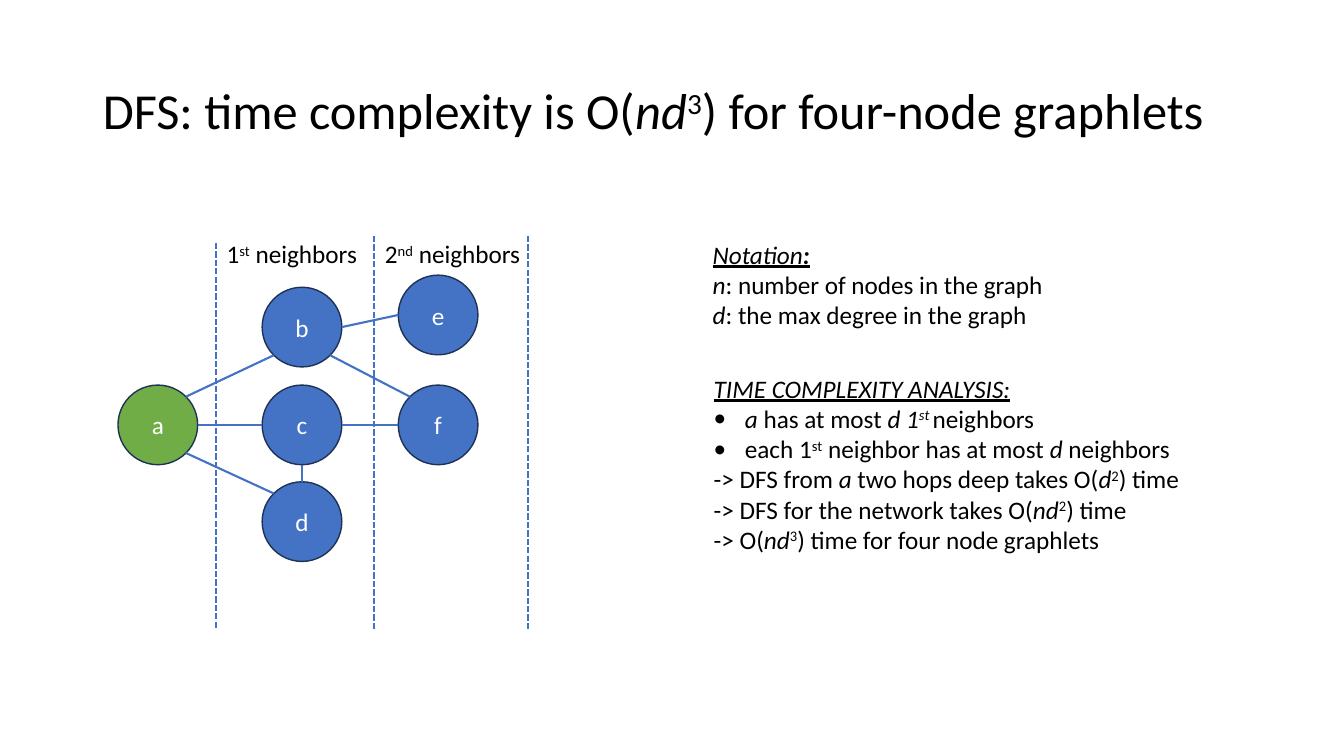
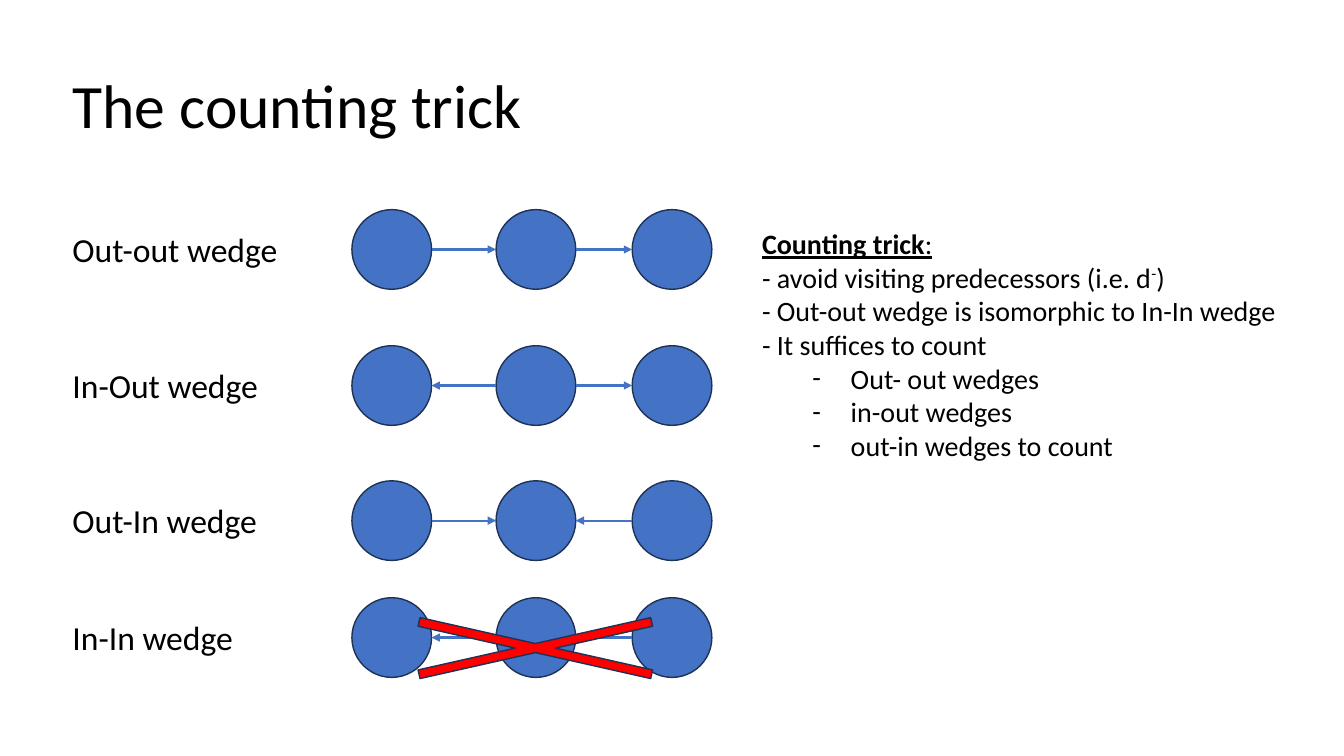
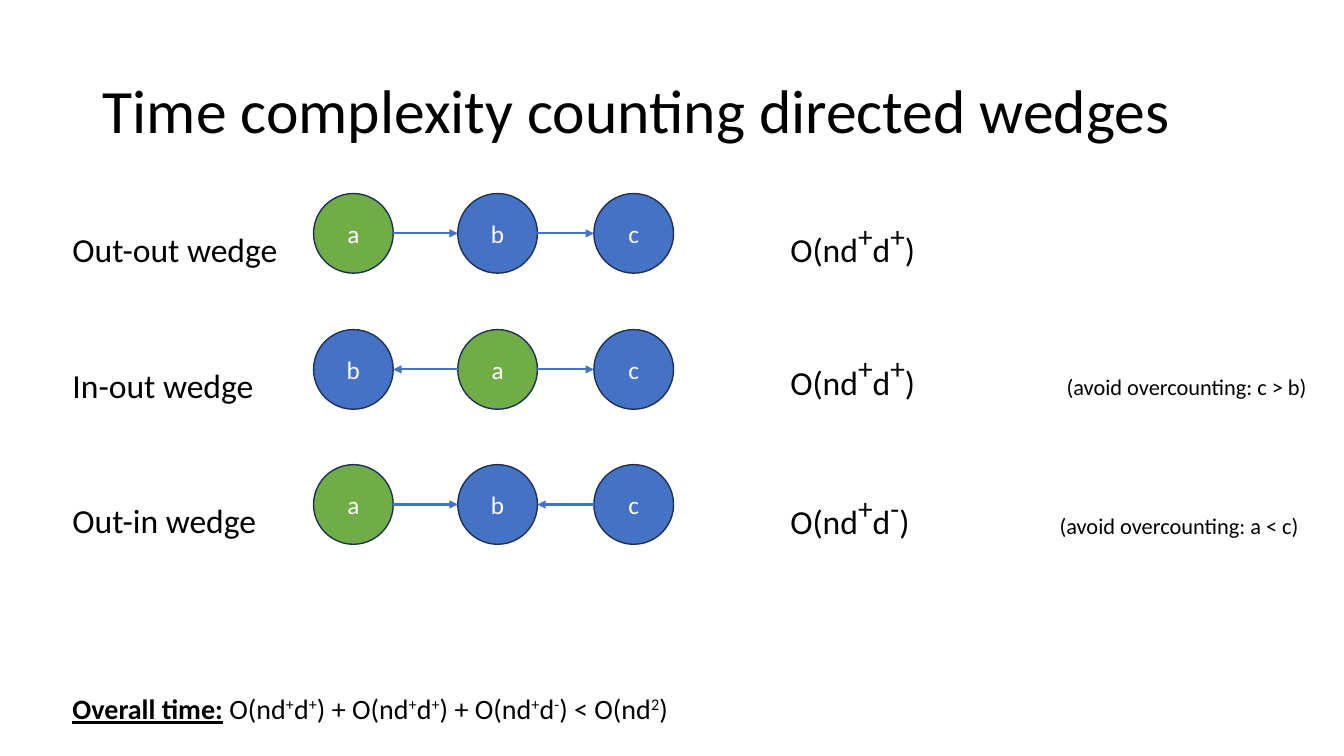
from math import cos, radians, sin

from lxml import etree
from pptx import Presentation
from pptx.dml.color import RGBColor
from pptx.enum.dml import MSO_LINE
from pptx.enum.shapes import MSO_CONNECTOR, MSO_SHAPE
from pptx.enum.text import MSO_ANCHOR, MSO_AUTO_SIZE, PP_ALIGN
from pptx.oxml.ns import qn
from pptx.util import Inches, Pt

DASH = MSO_LINE.SQUARE_DOT
STRAIGHT = MSO_CONNECTOR.STRAIGHT
OVAL, CROSS = MSO_SHAPE.OVAL, MSO_SHAPE.MATH_MULTIPLY
MIDDLE = MSO_ANCHOR.MIDDLE
GROW = MSO_AUTO_SIZE.SHAPE_TO_FIT_TEXT
LEFT, CENTER = PP_ALIGN.LEFT, PP_ALIGN.CENTER

# Shared look
BLACK = RGBColor(0x00, 0x00, 0x00)
WHITE = RGBColor(0xFF, 0xFF, 0xFF)
BLUE = RGBColor(0x44, 0x72, 0xC4)
GREEN = RGBColor(0x70, 0xAD, 0x47)
NAVY = RGBColor(0x1E, 0x32, 0x56)
RED = RGBColor(0xFF, 0x00, 0x00)
FONT = "Calibri"
NODE = 0.79
MARGIN = 0.62
LABELS = [2.22, 3.57, 4.91, 6.07]
STEPS = [0, 1.43, 2.78]

# Run marks: i italic, b bold, u underline, + big, - small, ^ superscript
MARKS = {
    "i": {"italic": True},
    "b": {"bold": True},
    "u": {"underline": True},
    "+": {"size": Pt(36)},
    "-": {"size": Pt(16)},
}


def fill_para(para, runs, size, color=BLACK):
    """Write runs, each a plain string or a (text, marks) pair."""
    for item in runs:
        text, marks = (item, "") if isinstance(item, str) else item
        run = para.add_run()
        run.text = text
        values = {"name": FONT, "size": Pt(size)}
        for mark in marks:
            values.update(MARKS.get(mark, {}))
        for name, value in values.items():
            setattr(run.font, name, value)
        run.font.color.rgb = color
        if "^" in marks:
            run._r.get_or_add_rPr().set("baseline", "30000")


def add_title(deck, runs, left=0.92, top=0.4, size=44):
    slide = deck.slides.add_slide(deck.slide_layouts[5])
    title = slide.shapes.title
    place = {"left": left, "top": top, "width": 11.5, "height": 1.45}
    for name, value in place.items():
        setattr(title, name, Inches(value))
    frame = title.text_frame
    frame.vertical_anchor = MIDDLE
    frame.word_wrap = True
    para = frame.paragraphs[0]
    para.alignment = LEFT
    para.line_spacing = 0.9
    fill_para(para, runs, size)
    return slide


def add_text(slide, box, lines, size):
    frame = slide.shapes.add_textbox(*map(Inches, box)).text_frame
    frame.word_wrap = True
    frame.auto_size = GROW
    for i, runs in enumerate(lines):
        para = frame.add_paragraph() if i else frame.paragraphs[0]
        fill_para(para, runs, size)
    return frame.paragraphs


def set_bullet(para, char, margin, hang, level=0):
    para.level = level
    props = para._p.get_or_add_pPr()
    props.set("marL", str(Inches(margin)))
    props.set("indent", str(-Inches(hang)))
    etree.SubElement(props, qn("a:buFont")).set("typeface", FONT)
    etree.SubElement(props, qn("a:buChar")).set("char", char)


def set_tab(para, pos):
    tabs = etree.SubElement(para._p.get_or_add_pPr(), qn("a:tabLst"))
    tab = etree.SubElement(tabs, qn("a:tab"))
    tab.set("pos", str(Inches(pos)))
    tab.set("algn", "l")


def add_shape(slide, kind, box, fill):
    shape = slide.shapes.add_shape(kind, *map(Inches, box))
    shape.shadow.inherit = False
    shape.fill.solid()
    shape.fill.fore_color.rgb = fill
    shape.line.color.rgb = NAVY
    shape.line.width = Pt(1)
    return shape


def add_node(slide, left, top, name=""):
    """Draw a round node; the start node a is green."""
    fill = GREEN if name == "a" else BLUE
    node = add_shape(slide, OVAL, (left, top, NODE, NODE), fill)
    if name:
        node.text_frame.vertical_anchor = MIDDLE
        para = node.text_frame.paragraphs[0]
        para.alignment = CENTER
        fill_para(para, [name], 18, WHITE)


def add_line(slide, start, end, dash=False, arrow=False):
    line = slide.shapes.add_connector(STRAIGHT, *map(Inches, start + end))
    line.line.color.rgb = BLUE
    line.line.width = Pt(1.5)
    if dash:
        line.line.dash_style = DASH
    if arrow:
        tip = etree.SubElement(line.line._get_or_add_ln(), qn("a:tailEnd"))
        tip.set("type", "triangle")
    etree.SubElement(line._element.spPr, qn("a:effectLst"))


def rim(spot, angle):
    """Point on a node's edge, with the angle clockwise from the right."""
    turn, half = radians(angle), NODE / 2
    return (spot[0] + half + half * cos(turn),
            spot[1] + half + half * sin(turn))


def add_wedge(slide, left, top, ways, names=("", "", "")):
    """Draw three nodes in a row; each way is > or <."""
    spots = [(left + step, top) for step in STEPS]
    for spot, name in zip(spots, names):
        add_node(slide, *spot, name)
    for way, one, two in zip(ways, spots, spots[1:]):
        ends = [rim(one, 0), rim(two, 180)]
        if way == "<":
            ends.reverse()
        add_line(slide, *ends, arrow=True)


def add_label(slide, top, text):
    add_text(slide, (MARGIN, top, 2.25, 0.5), [[text]], 24)


def draw_search(deck):
    slide = add_title(deck, ["DFS: time complexity is O(", ("nd", "i"), ("3", "^"),
                             ") for four-node graphlets"], size=36)
    # Graph
    spots = {"a": (1.17, 3.82), "b": (2.6, 2.85), "c": (2.6, 3.82),
             "d": (2.6, 4.78), "e": (3.95, 2.73), "f": (3.95, 3.82)}
    edges = [("a", -45, "b", 135), ("a", 0, "c", 180), ("a", 45, "d", 225),
             ("c", 90, "d", 270), ("b", 0, "e", 180), ("b", 45, "f", 225),
             ("c", 0, "f", 180)]
    for name, spot in spots.items():
        add_node(slide, *spot, name)
    for one, out, two, into in edges:
        add_line(slide, rim(spots[one], out), rim(spots[two], into))

    # Neighbor bands
    for x, top in [(2.14, 2.41), (3.71, 2.34), (5.24, 2.34)]:
        add_line(slide, (x, top), (x, 6.24), dash=True)
    for left, num, end in [(2.15, "1", "st"), (3.72, "2", "nd")]:
        add_text(slide, (left, 2.32, 1.93, 0.4),
                 [[num, (end, "^"), " neighbors"]], 18)

    # Notes
    add_text(slide, (6.97, 2.32, 3.52, 1.01), [
        [("Notation", "iu"), (":", "biu")],
        [("n", "i"), ": number of nodes in the graph"],
        [("d", "i"), ": the max degree in the graph"],
    ], 18)
    paras = add_text(slide, (6.98, 3.65, 6.35, 2.22), [
        [("TIME COMPLEXITY ANALYSIS:", "iu")],
        [("a", "i"), " has at most ", ("d 1", "i"), ("st ", "i^"), "neighbors"],
        ["each 1", ("st", "^"), " neighbor has at most ", ("d", "i"), " neighbors"],
        ["-> DFS from ", ("a", "i"), " two hops deep takes O(", ("d", "i"),
         ("2", "^"), ") time"],
        ["-> DFS for the network takes O(", ("nd", "i"), ("2", "^"), ") time"],
        ["-> O(", ("nd", "i"), ("3", "^"), ") time for four node graphlets"],
    ], 18)
    for para in paras[1:3]:
        set_bullet(para, "•", 0.31, 0.31)


def draw_trick(deck):
    slide = add_title(deck, ["The counting trick"], MARGIN, 0.35)
    # Wedges
    kinds = [("Out-out", ">>"), ("In-Out", "<>"), ("Out-In", "><"), ("In-In", "<<")]
    for top, (kind, ways) in zip(LABELS, kinds):
        add_label(slide, top, f"{kind} wedge")
        add_wedge(slide, 3.49, top - 0.14, ways)
    cross = add_shape(slide, CROSS, (3.09, 5.93, 4.44, 1), RED)
    cross.adjustments[0] = 0.088

    # Notes
    paras = add_text(slide, (7.46, 2.2, 5.87, 2.46), [
        [("Counting trick", "bu"), (":", "u")],
        ["- avoid visiting predecessors (i.e. d", ("-", "^"), ")"],
        ["- Out-out wedge is isomorphic to In-In wedge"],
        ["- It suffices to count"],
        ["Out- out wedges"],
        ["in-out wedges"],
        ["out-in wedges to count"],
    ], 20)
    for para in paras[4:]:
        set_bullet(para, "-", 0.88, 0.38, level=1)


def draw_costs(deck):
    slide = add_title(deck, ["Time complexity counting directed wedges"])
    # Wedges with their costs: kind, ways, names, cost top, sign, note, tab
    rows = [
        ("Out-out", ">>", "abc", 2.06, "+", "", 0),
        ("In-out", "<>", "bac", 3.37, "+", "c > b", 2.74),
        ("Out-in", "><", "abc", 4.75, "-", "a < c", 2.67),
    ]
    for top, (kind, ways, names, y, sign, note, tab) in zip(LABELS, rows):
        add_label(slide, top, f"{kind} wedge")
        add_wedge(slide, 3.11, top - 0.3, ways, names)
        runs = ["O(nd", ("+", "+^"), "d", (sign, "+^"), ")"]
        if note:
            runs += ["\t", (f"(avoid overcounting: {note})", "-")]
        paras = add_text(slide, (7.74, y, 5.59, 0.5), [runs], 24)
        if note:
            set_tab(paras[0], tab)

    # Sum of the costs
    total = [("Overall time:", "bu"), " O(nd"]
    for sign, tail in [("+", ") + O(nd"), ("+", ") + O(nd"), ("-", ") < O(nd")]:
        total += [("+", "^"), "d", (sign, "^"), tail]
    total += [("2", "^"), ")"]
    add_text(slide, (MARGIN, 6.81, 11.75, 0.44), [total], 20)


def main():
    deck = Presentation()
    deck.slide_width = Inches(13.33)
    deck.slide_height = Inches(7.5)
    for draw in (draw_search, draw_trick, draw_costs):
        draw(deck)
    deck.save("out.pptx")


if __name__ == "__main__":
    main()
